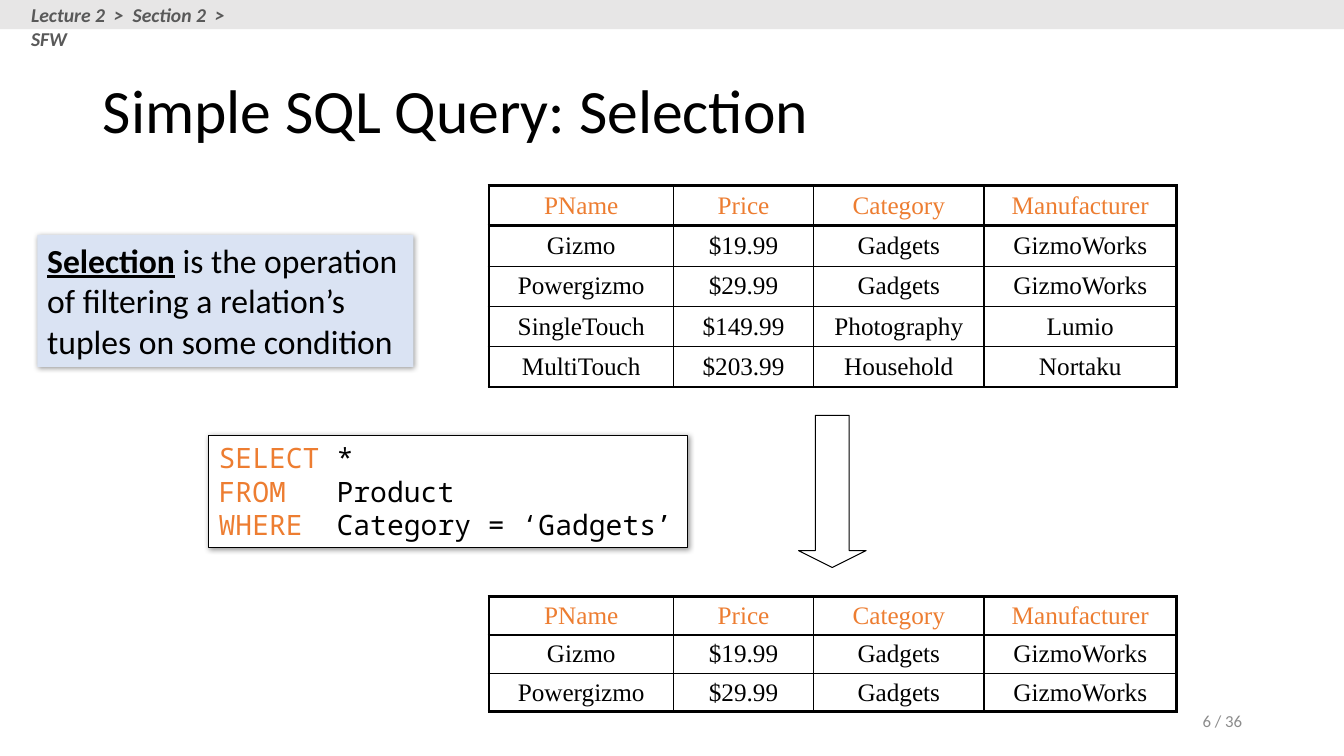
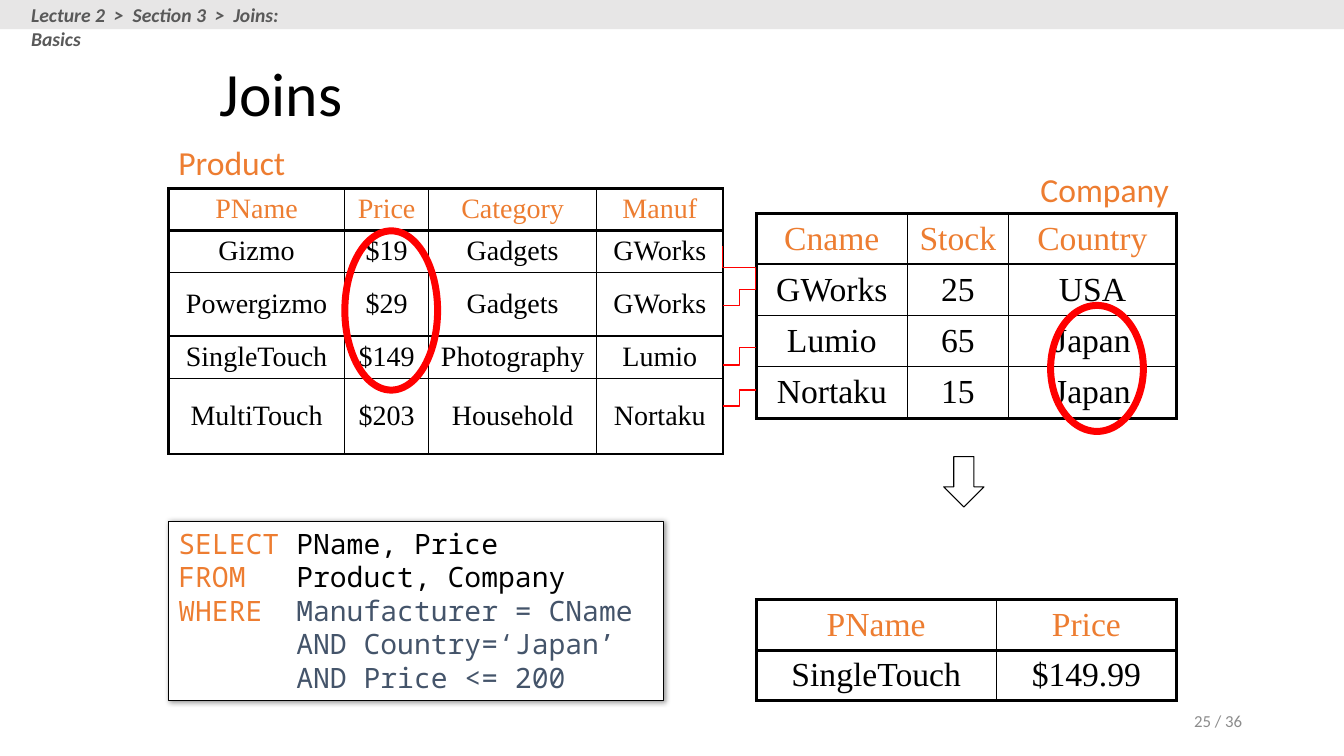
from lxml.etree import SubElement
from pptx import Presentation
from pptx.dml.color import RGBColor
from pptx.enum.shapes import MSO_CONNECTOR, MSO_SHAPE
from pptx.enum.text import MSO_ANCHOR, PP_ALIGN
from pptx.oxml.ns import qn
from pptx.util import Inches, Pt

COLORS = {
    "ink": "000000", "paper": "FFFFFF", "accent": "ED7D31", "band": "E7E6E6",
    "crumb": "595959", "page": "8C8C8C", "note": "DAE3F3", "mark": "FF0000",
    "slate": "44546A",
}
FORMATS = {
    "title": {"name": "Calibri", "size": Pt(44)},
    "crumb": {"name": "Calibri", "size": Pt(14), "bold": True, "italic": True},
    "page": {"name": "Calibri", "size": Pt(12)},
    "label": {"name": "Calibri", "size": Pt(24)},
    "term": {"name": "Calibri", "size": Pt(24), "bold": True, "underline": True},
    "code": {"name": "Noto Sans Mono", "size": Pt(20)},
    "cell": {"name": "Times New Roman"},
}
CODE_TAB = 1.17
THICK, THIN = 2.25, 1


def rgb(name):
    return RGBColor.from_string(COLORS[name])


def node(parent, tag, **attrs):
    return SubElement(parent, qn(tag), {k: str(v) for k, v in attrs.items()})


class Deck:
    def __init__(self):
        self.prs = Presentation()
        self.prs.slide_width = Inches(13.33)
        self.prs.slide_height = Inches(7.5)
        self.slide = None

    # Text
    def run(self, para, text, style, color="ink", **extra):
        run = para.add_run()
        run.text = text
        for key, value in {**FORMATS[style], **extra}.items():
            setattr(run.font, key, value)
        run.font.color.rgb = rgb(color)

    def text(self, box, text, style, color="ink"):
        area = self.slide.shapes.add_textbox(*map(Inches, box))
        frame = area.text_frame
        frame.word_wrap = True
        self.run(frame.paragraphs[0], text, style, color)
        return frame

    # Shared frame: title, top band, breadcrumb, page number
    def start(self, title, box, crumb, width, page):
        self.slide = self.prs.slides.add_slide(self.prs.slide_layouts[5])
        head = self.slide.shapes.title
        head.left, head.top, head.width, head.height = map(Inches, box)
        frame = head.text_frame
        frame.vertical_anchor = MSO_ANCHOR.MIDDLE
        para = frame.paragraphs[0]
        para.alignment = PP_ALIGN.LEFT
        para.line_spacing = 0.9
        self.run(para, title, "title")
        self.shape(MSO_SHAPE.RECTANGLE, (0, 0, 13.33, 0.29), fill="band")
        self.text((0.21, -0.02, width, 0.34), crumb, "crumb", "crumb")
        foot = self.text((9.42, 6.95, 3, 0.4), page, "page", "page")
        foot.vertical_anchor = MSO_ANCHOR.MIDDLE
        foot.paragraphs[0].alignment = PP_ALIGN.RIGHT

    # Shapes
    def shape(self, kind, box, fill=None, line=None, weight=0.75):
        shape = self.slide.shapes.add_shape(kind, *map(Inches, box))
        shape.shadow.inherit = False
        if fill:
            shape.fill.solid()
            shape.fill.fore_color.rgb = rgb(fill)
        else:
            shape.fill.background()
        if line:
            shape.line.color.rgb = rgb(line)
            shape.line.width = Pt(weight)
        else:
            shape.line.fill.background()
        return shape

    def panel(self, box, fill, line=None):
        shape = self.shape(MSO_SHAPE.RECTANGLE, box, fill, line)
        effects = shape._element.spPr.find(qn("a:effectLst"))
        shadow = node(effects, "a:outerShdw", blurRad=Pt(4), dist=Pt(1),
                      dir=45 * 60000, algn="tl", rotWithShape=0)
        tint = node(shadow, "a:srgbClr", val=COLORS["ink"])
        node(tint, "a:alpha", val=40000)
        frame = shape.text_frame
        frame.word_wrap = True
        frame.vertical_anchor = MSO_ANCHOR.TOP
        frame.paragraphs[0].alignment = PP_ALIGN.LEFT
        return frame

    def arrow(self, box, tip):
        shape = self.shape(MSO_SHAPE.DOWN_ARROW, box, line="ink")
        shape.adjustments[0] = 0.5
        shape.adjustments[1] = tip

    def ring(self, box):
        self.shape(MSO_SHAPE.OVAL, box, line="mark", weight=5)

    def link(self, ends, turn=0):
        line = self.slide.shapes.add_connector(
            MSO_CONNECTOR.ELBOW, *map(Inches, ends))
        line.line.color.rgb = rgb("mark")
        line.line.width = Pt(1)
        props = line._element.spPr
        node(props, "a:effectLst")
        if turn:
            props.find(qn("a:xfrm")).set("rot", str(turn * 60000))

    # SQL panel: keyword, tab, clause
    def query(self, box, rows):
        frame = self.panel(box, "paper", "ink")
        for i, (word, clause, color) in enumerate(rows):
            para = frame.add_paragraph() if i else frame.paragraphs[0]
            para.alignment = PP_ALIGN.LEFT
            tabs = node(para._p.get_or_add_pPr(), "a:tabLst")
            node(tabs, "a:tab", pos=Inches(CODE_TAB), algn="l")
            if word:
                self.run(para, word, "code", "accent")
            self.run(para, "\t" + clause, "code", color)

    # Tables: thick frame and header rule, thin inner lines
    def edge(self, cell, tag, weight):
        props = cell._tc.get_or_add_tcPr()
        line = node(props, tag, w=Pt(weight))
        fill = node(line, "a:solidFill")
        node(fill, "a:srgbClr", val=COLORS["ink"])

    def table(self, spot, cols, heights, size, rows):
        box = (*spot, sum(cols), sum(heights))
        grid = self.slide.shapes.add_table(
            len(rows), len(cols), *map(Inches, box)).table
        grid.first_row = grid.horz_banding = False
        for col, width in zip(grid.columns, cols):
            col.width = Inches(width)
        for row, height in zip(grid.rows, heights):
            row.height = Inches(height)
        for r, row in enumerate(rows):
            for c, value in enumerate(row):
                cell = grid.cell(r, c)
                thick = {
                    "a:lnL": c == 0, "a:lnR": c == len(cols) - 1,
                    "a:lnT": r < 2, "a:lnB": r in (0, len(rows) - 1),
                }
                for tag, heavy in thick.items():
                    self.edge(cell, tag, THICK if heavy else THIN)
                cell.fill.background()
                cell.vertical_anchor = MSO_ANCHOR.MIDDLE
                cell.margin_top = cell.margin_bottom = Inches(0.04)
                para = cell.text_frame.paragraphs[0]
                para.alignment = PP_ALIGN.CENTER
                self.run(para, value, "cell", "ink" if r else "accent",
                         size=Pt(size))


deck = Deck()

# Slide 1: selection
deck.start("Simple SQL Query: Selection", (0.92, 0.4, 11.5, 1.45),
           "Lecture 2  >  Section 2  >  SFW", 2.54, "6 / 36")
goods = [
    ("PName", "Price", "Category", "Manufacturer"),
    ("Gizmo", "$19.99", "Gadgets", "GizmoWorks"),
    ("Powergizmo", "$29.99", "Gadgets", "GizmoWorks"),
    ("SingleTouch", "$149.99", "Photography", "Lumio"),
    ("MultiTouch", "$203.99", "Household", "Nortaku"),
]
widths = (1.83, 1.39, 1.69, 1.91)
deck.table((4.85, 1.84), widths, [0.4] * 5, 18, goods)
deck.arrow((7.92, 4.12, 0.67, 1.51), 0.25)
deck.table((4.85, 5.92), widths, [0.38] * 3, 18, goods[:3])
deck.query((2.07, 4.32, 4.75, 1.11), [
    ("SELECT", "*", "ink"),
    ("FROM", "Product", "ink"),
    ("WHERE", "Category = ‘Gadgets’", "ink"),
])
note = deck.panel((0.37, 2.33, 3.73, 1.31), "note").paragraphs[0]
deck.run(note, "Selection", "term")
deck.run(note, " is the operation of filtering a relation’s tuples "
         "on some condition", "label")

# Slide 2: joins
deck.start("Joins", (2.08, 0.33, 9, 1.25),
           "Lecture 2  >  Section 3  >  Joins: Basics", 3.14, "25 / 36")
deck.table((1.67, 1.87), (1.75, 0.83, 1.67, 1.25),
           (0.41, 0.42, 0.63, 0.42, 0.75), 20, [
    ("PName", "Price", "Category", "Manuf"),
    ("Gizmo", "$19", "Gadgets", "GWorks"),
    ("Powergizmo", "$29", "Gadgets", "GWorks"),
    ("SingleTouch", "$149", "Photography", "Lumio"),
    ("MultiTouch", "$203", "Household", "Nortaku"),
])
deck.text((1.67, 1.36, 1.27, 0.5), "Product", "label", "accent")
deck.text((10.22, 1.63, 1.49, 0.5), "Company", "label", "accent")
deck.table((7.5, 2.12), (1.5, 1, 1.67), [0.5] + [0.51] * 3, 24, [
    ("Cname", "Stock", "Country"),
    ("GWorks", "25", "USA"),
    ("Lumio", "65", "Japan"),
    ("Nortaku", "15", "Japan"),
])
deck.table((7.5, 5.95), (2.38, 1.79), [0.5] * 2, 24, [
    ("PName", "Price"),
    ("SingleTouch", "$149.99"),
])
deck.arrow((9.36, 4.53, 0.4, 0.5), 0.5)

# Matching rows
deck.link((7.54, 2.49, 7.12, 2.82), turn=270)
for left, right in ((3.03, 2.87), (3.62, 3.45), (4.03, 3.87)):
    deck.link((7.17, left, 7.5, right))
deck.ring((3.42, 2.29, 0.92, 1.58))
deck.ring((10.42, 3.03, 0.92, 1.25))
deck.query((1.67, 5.17, 4.91, 1.78), [
    ("SELECT", "PName, Price", "ink"),
    ("FROM", "Product, Company", "ink"),
    ("WHERE", "Manufacturer = CName", "slate"),
    ("", "AND Country=‘Japan’", "slate"),
    ("", "AND Price <= 200", "slate"),
])

deck.prs.save("out.pptx")
